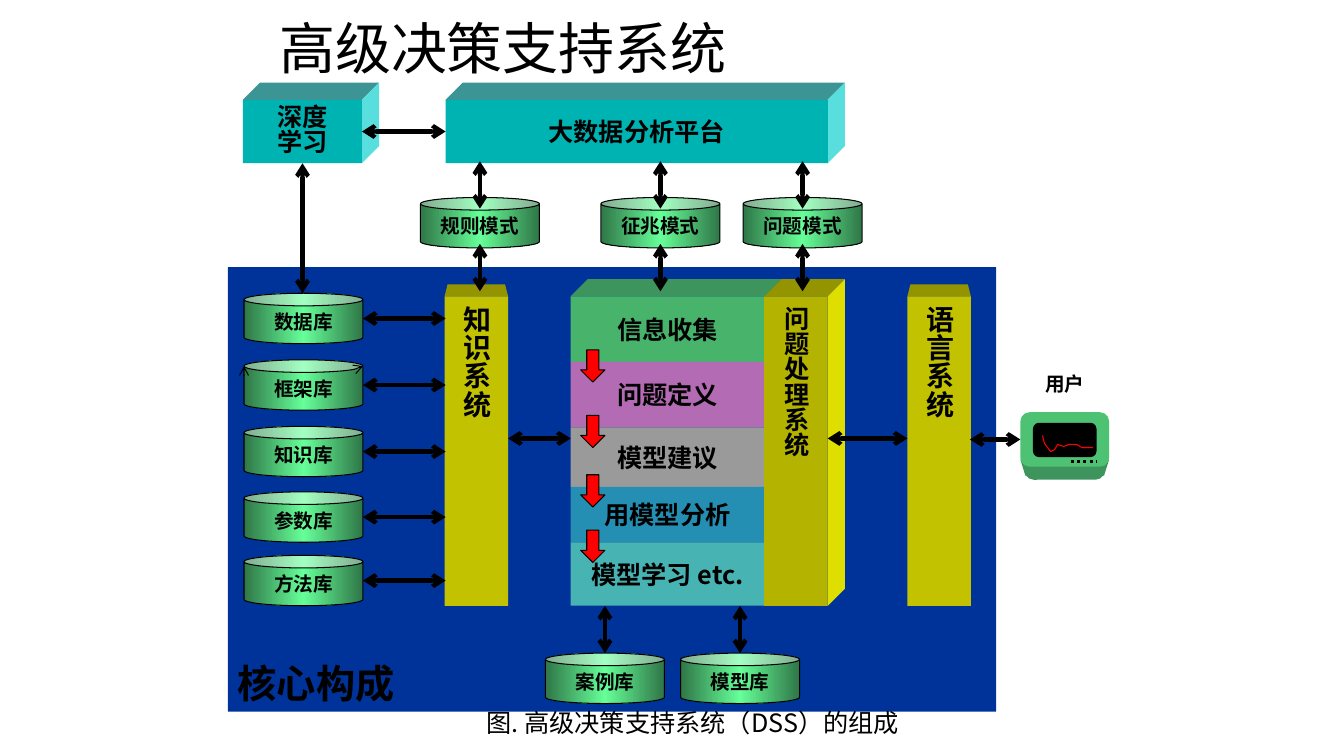
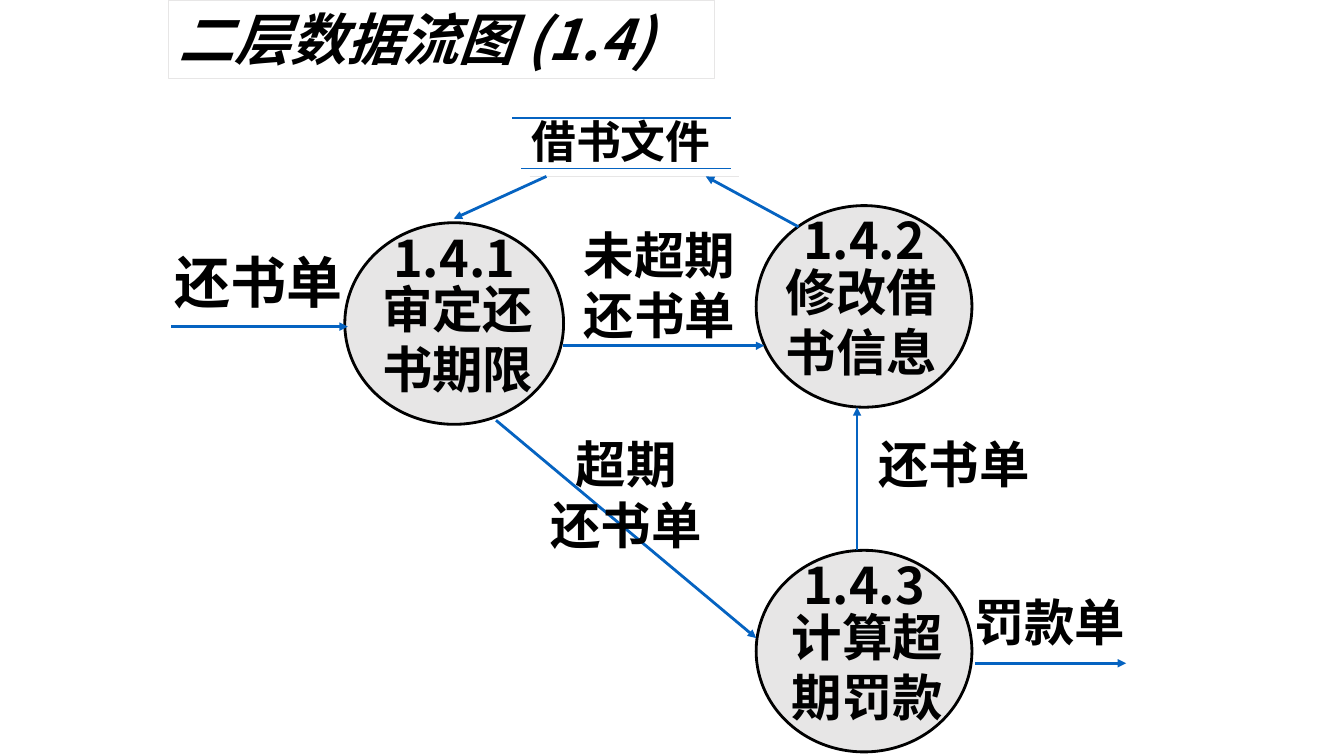
from itertools import pairwise

from lxml import etree
from pptx import Presentation
from pptx.dml.color import RGBColor
from pptx.enum import dml, shapes, text
from pptx.oxml.ns import qn
from pptx.util import Inches, Pt

FONT = "Noto Sans CJK SC"
BLACK = RGBColor(0x00, 0x00, 0x00)
RED = RGBColor(0xFF, 0x00, 0x00)
NAVY = RGBColor(0x00, 0x33, 0x99)
BLUE = RGBColor(0x05, 0x63, 0xC1)
SILVER = RGBColor(0xE7, 0xE6, 0xE6)
CYAN = RGBColor(0x00, 0xB3, 0xB3)
CYAN_TOP = RGBColor(0x3D, 0x94, 0x94)
CYAN_SIDE = RGBColor(0x59, 0xDE, 0xDE)
YELLOW = RGBColor(0xC2, 0xC2, 0x00)
YELLOW_FRONT = RGBColor(0xB3, 0xB3, 0x00)
YELLOW_TOP = RGBColor(0x94, 0x94, 0x00)
YELLOW_SIDE = RGBColor(0xDE, 0xDE, 0x00)
GREEN = RGBColor(0x47, 0xB3, 0x6B)
GREEN_TOP = RGBColor(0x3D, 0x94, 0x5C)
PURPLE = RGBColor(0xB3, 0x6B, 0xB3)
GRAY = RGBColor(0x9A, 0x9A, 0x9A)
OCEAN = RGBColor(0x24, 0x8F, 0xB3)
TEAL = RGBColor(0x47, 0xB3, 0xB3)
MONITOR = RGBColor(0x4D, 0xC2, 0x73)
CAN_EDGE = RGBColor(0x2F, 0x76, 0x47)
CAN_MIDDLE = RGBColor(0x66, 0xFF, 0x99)

KIND = shapes.MSO_SHAPE
CENTER = text.PP_ALIGN.CENTER
LEFT = text.PP_ALIGN.LEFT
TOP = text.MSO_ANCHOR.TOP
MIDDLE = text.MSO_ANCHOR.MIDDLE
BOTTOM = text.MSO_ANCHOR.BOTTOM
CAN_WIDTH, CAN_HEIGHT = 1.18, 0.5
DEPTH = 0.17


def write(shape, lines, size, bold=True, italic=False, align=CENTER, anchor=MIDDLE,
          wrap=True, spacing=None, vertical=False):
    """Fill a shape with one paragraph per line."""
    frame = shape.text_frame
    frame.word_wrap = wrap
    frame.vertical_anchor = anchor
    if vertical:
        shape.element.txBody.bodyPr.set("vert", "eaVert")
    for index, line in enumerate(lines.split("\n")):
        paragraph = frame.add_paragraph() if index else frame.paragraphs[0]
        paragraph.alignment = align
        paragraph.line_spacing = spacing
        run = paragraph.add_run()
        run.text = line
        font = run.font
        font.size, font.bold, font.italic = Pt(size), bold, italic
        font.color.rgb = BLACK
        font.name = FONT
    for properties in shape.element.iter(qn("a:rPr")):
        etree.SubElement(properties, qn("a:ea"), typeface=FONT)


def add_label(slide, lines, left, top, width, height, size, anchor=TOP, **style):
    """Add a text box."""
    box = slide.shapes.add_textbox(Inches(left), Inches(top), Inches(width), Inches(height))
    write(box, lines, size, anchor=anchor, **style)


def paint(shape, fill, line=None, weight=0.75):
    """Set the fill and outline of a shape."""
    shape.shadow.inherit = False
    if fill is None:
        shape.fill.background()
    else:
        shape.fill.solid()
        shape.fill.fore_color.rgb = fill
    if line is None:
        shape.line.fill.background()
    else:
        shape.line.color.rgb = line
        shape.line.width = Pt(weight)


def add_block(slide, kind, left, top, width, height, fill, line=None, weight=0.75):
    """Add a painted preset shape."""
    shape = slide.shapes.add_shape(
        kind, Inches(left), Inches(top), Inches(width), Inches(height))
    paint(shape, fill, line, weight)
    return shape


def add_outline(slide, points, fill, line=None, close=True):
    """Add a freeform through points given in inches."""
    corners = [(Inches(x), Inches(y)) for x, y in points]
    builder = slide.shapes.build_freeform(*corners[0], scale=1.0)
    builder.add_line_segments(corners[1:], close=close)
    paint(builder.convert_to_shape(), fill, line)


def add_top(slide, left, top, width, color, shift=DEPTH, end_shift=DEPTH, height=DEPTH):
    """Add the upper face of a solid box."""
    right = left + width
    add_outline(slide, [(left, top), (left + shift, top - height),
                        (right + end_shift, top - height), (right, top)], color)


def add_side(slide, right, top, height, color):
    """Add the right face of a solid box."""
    bottom = top + height
    add_outline(slide, [(right, top), (right + DEPTH, top - DEPTH),
                        (right + DEPTH, bottom - DEPTH), (right, bottom)], color)


def set_ends(shape, head, tail):
    """Put arrowheads on the line of a shape."""
    line = shape.element.spPr.find(qn("a:ln"))
    for tag, kind in (("a:headEnd", head), ("a:tailEnd", tail)):
        if kind:
            etree.SubElement(line, qn(tag), type=kind)


def add_line(slide, start, end, color=BLACK, weight=3, head=None, tail=None):
    """Add a straight line without shadow."""
    connector = slide.shapes.add_connector(
        shapes.MSO_CONNECTOR.STRAIGHT, *(Inches(value) for value in (*start, *end)))
    connector.line.color.rgb = color
    connector.line.width = Pt(weight)
    set_ends(connector, head, tail)
    etree.SubElement(connector.element.spPr, qn("a:effectLst"))
    return connector


def add_double_arrow(slide, start, end):
    """Add a two-way arrow."""
    return add_line(slide, start, end, head="arrow", tail="arrow")


def add_flow(slide, start, end):
    """Add a one-way data flow."""
    add_line(slide, start, end, BLUE, 2, tail="triangle")


def add_can(slide, name, left, top):
    """Add a store drawn as a shaded cylinder."""
    can = add_block(slide, KIND.CAN, left, top, CAN_WIDTH, CAN_HEIGHT, CAN_MIDDLE, BLACK)
    can.adjustments[0] = 0.25
    can.fill.gradient()
    can.fill.gradient_angle = 0
    stop_list = can.element.spPr.find(".//" + qn("a:gsLst"))
    etree.SubElement(stop_list, qn("a:gs"), pos="100000")
    shades = ((0, CAN_EDGE), (0.5, CAN_MIDDLE), (1, CAN_EDGE))
    for stop, (position, color) in zip(can.fill.gradient_stops, shades):
        stop.position = position
        stop.color.rgb = color
    write(can, name, 14, wrap=False)
    return can


def add_platform(slide, name, left, width, spacing=None):
    """Add a cyan solid box of the upper row."""
    top, height = 0.99, 0.63
    add_top(slide, left, top, width, CYAN_TOP)
    add_side(slide, left + width, top, height, CYAN_SIDE)
    box = add_block(slide, KIND.RECTANGLE, left, top, width, height, CYAN)
    write(box, name, 18, spacing=spacing)
    return box


def add_pillar(slide, name, left, color, size):
    """Add the front of an upright system box."""
    pillar = add_block(slide, KIND.RECTANGLE, left, 2.94, 0.63, 3.07, color)
    write(pillar, name, size, vertical=True)


def add_monitor(slide):
    """Draw the user's monitor and return its casing."""
    add_label(slide, "用户", 10.25, 3.64, 0.62, 0.32, 14)
    add_block(slide, KIND.ROUNDED_RECTANGLE, 10.16, 4.2, 0.8, 0.56, GREEN_TOP)
    add_outline(slide, [(10.12, 4.56), (11, 4.56), (10.95, 4.72), (10.17, 4.72)], GREEN_TOP)
    casing = add_block(slide, KIND.ROUNDED_RECTANGLE, 10.12, 4.09, 0.88, 0.54, MONITOR)
    add_block(slide, KIND.ROUNDED_RECTANGLE, 10.25, 4.2, 0.62, 0.33, BLACK, BLACK)
    lamps = add_line(slide, (10.62, 4.58), (10.87, 4.58), weight=2.25)
    lamps.line.dash_style = dml.MSO_LINE.ROUND_DOT
    add_outline(slide, [(10.34, 4.32), (10.36, 4.4), (10.42, 4.48), (10.46, 4.46),
                        (10.49, 4.41), (10.55, 4.43), (10.6, 4.41), (10.68, 4.41),
                        (10.73, 4.44), (10.84, 4.44)], None, RED, close=False)
    return casing


def add_stages(slide):
    """Stack the problem-solving stages with red arrows between them."""
    stages = (("信息收集", GREEN), ("问题定义", PURPLE), ("模型建议", GRAY),
              ("用模型分析", OCEAN), ("模型学习 etc.", TEAL))
    edges = (2.94, 3.59, 4.24, 4.83, 5.38, 6.01)
    add_top(slide, 5.66, edges[0], 1.92, GREEN_TOP)
    for (name, color), (top, bottom) in zip(stages, pairwise(edges)):
        stage = add_block(slide, KIND.RECTANGLE, 5.66, top, 1.92, bottom - top, color)
        write(stage, name, 18)
    for edge in edges[1:-1]:
        add_block(slide, KIND.DOWN_ARROW, 5.76, edge - 0.12, 0.24, 0.32, RED, BLACK)


def build_support_system(presentation):
    """Build the decision support system slide."""
    slide = presentation.slides.add_slide(presentation.slide_layouts[6])
    core = add_block(slide, KIND.RECTANGLE, 2.26, 2.65, 7.62, 4.41, NAVY)
    write(core, "核心构成", 28, align=LEFT, anchor=BOTTOM)

    for name, left in (("知识系统", 4.41), ("语言系统", 9)):
        add_top(slide, left, 2.94, 0.63, YELLOW_TOP, 0.03, -0.03, 0.12)
        add_pillar(slide, name, left, YELLOW, 20)
    add_stages(slide)
    add_top(slide, 7.58, 2.94, 0.63, YELLOW_TOP)
    add_side(slide, 8.21, 2.94, 3.07, YELLOW_SIDE)
    add_pillar(slide, "问题处理系统", 7.58, YELLOW_FRONT, 18)
    for left, right in ((5.04, 5.66), (8.21, 9)):
        add_double_arrow(slide, (left, 4.35), (right, 4.35))
    casing = add_monitor(slide)
    add_double_arrow(slide, (9.62, 4.36), (10.12, 4.36)).end_connect(casing, 1)

    libraries = (("数据库", 2.91), ("框架库", 3.57), ("知识库", 4.23),
                 ("参数库", 4.88), ("方法库", 5.51))
    for name, top in libraries:
        can = add_can(slide, name, 2.42, top)
        if name == "框架库":
            set_ends(can, "arrow", "arrow")
        middle = top + CAN_HEIGHT / 2
        add_double_arrow(slide, (3.6, middle), (4.42, middle))
    for name, left in (("案例库", 5.41), ("模型库", 6.75)):
        add_can(slide, name, left, 6.48)
        center = left + CAN_WIDTH / 2
        add_double_arrow(slide, (center, 6.48), (center, 6.01))

    platform = add_platform(slide, "大数据分析平台", 4.42, 3.79)
    learning = add_platform(slide, "深度\n学习", 2.41, 1.18, Pt(18))
    for name, left in (("规则模式", 4.17), ("征兆模式", 5.96), ("问题模式", 7.37)):
        add_can(slide, name, left, 1.96)
        center = left + CAN_WIDTH / 2
        for bottom in (2.07, 2.89):
            add_double_arrow(slide, (center, bottom), (center, bottom - 0.47))
    add_double_arrow(slide, (3, 2.91), (3, 1.62)).end_connect(learning, 2)
    link = add_double_arrow(slide, (3.6, 1.31), (4.42, 1.31))
    link.begin_connect(learning, 3)
    link.end_connect(platform, 1)

    add_label(slide, "图. 高级决策支持系统（DSS）的组成", 4.23, 6.97, 5.28, 0.4, 18, bold=False)
    add_label(slide, "高级决策支持系统", 2.67, 0.11, 7.75, 0.79, 40, anchor=MIDDLE,
              bold=False, align=LEFT, spacing=0.9)


def add_process(slide, number, name, left, top, width, name_box):
    """Add a numbered process circle."""
    add_block(slide, KIND.OVAL, left, top, width, 2, SILVER, BLACK, 2)
    name_left, name_width = name_box
    add_label(slide, name, name_left, top + 0.5, name_width, 1.3, 36)
    add_label(slide, number, left + (width - 1.46) / 2, top - 0.01, 1.46, 0.7, 36, wrap=False)


def build_data_flow(presentation):
    """Build the second-level data flow slide."""
    slide = presentation.slides.add_slide(presentation.slide_layouts[6])
    title = add_block(slide, KIND.RECTANGLE, 1.67, 0, 5.42, 0.78, None, SILVER)
    write(title, "二层数据流图 (1.4)", 40, italic=True, align=LEFT, anchor=TOP)

    add_process(slide, "1.4.1", "审定还书期限", 3.42, 2.21, 2.17, (3.5, 2.08))
    add_process(slide, "1.4.2", "修改借书信息", 7.5, 2.04, 2.14, (7.67, 1.75))
    add_process(slide, "1.4.3", "计算超期罚款", 7.5, 5.46, 2.14, (7.73, 1.75))

    add_label(slide, "借书文件", 5.17, 1.08, 2.01, 0.64, 32, align=LEFT, wrap=False)
    add_line(slide, (5.08, 1.17), (7.25, 1.17), BLUE, 1)
    store_base = add_line(slide, (5.17, 1.67), (7.25, 1.67), BLUE, 1)
    effects = store_base.element.spPr.find(qn("a:effectLst"))
    shadow = etree.SubElement(effects, qn("a:outerShdw"), dist=str(Pt(8.5)), dir="2700000")
    etree.SubElement(shadow, qn("a:srgbClr"), val=str(SILVER))

    flows = (((5.58, 3.43), (7.58, 3.43)), ((8.5, 5.46), (8.5, 4.04)),
             ((1.7, 3.24), (3.45, 3.24)), ((4.92, 4.17), (7.5, 6.33)),
             ((5.42, 1.75), (4.5, 2.17)), ((7.92, 2.25), (7, 1.75)),
             ((9.67, 6.58), (11.17, 6.58)))
    for start, end in flows:
        add_flow(slide, start, end)

    add_label(slide, "还书单", 1.63, 2.41, 2.17, 0.77, 40, align=LEFT)
    labels = (("未超期\n还书单", 5.58, 2.17, 1.3), ("超期\n还书单", 5.25, 4.25, 1.3),
              ("还书单", 8.5, 4.25, 0.7), ("罚款单", 9.45, 5.82, 0.7))
    for lines, left, top, height in labels:
        add_label(slide, lines, left, top, 1.92, height, 36)


def main():
    """Build and save the presentation."""
    presentation = Presentation()
    presentation.slide_width = Inches(13.33)
    presentation.slide_height = Inches(7.5)
    build_support_system(presentation)
    build_data_flow(presentation)
    presentation.save("out.pptx")


if __name__ == "__main__":
    main()
